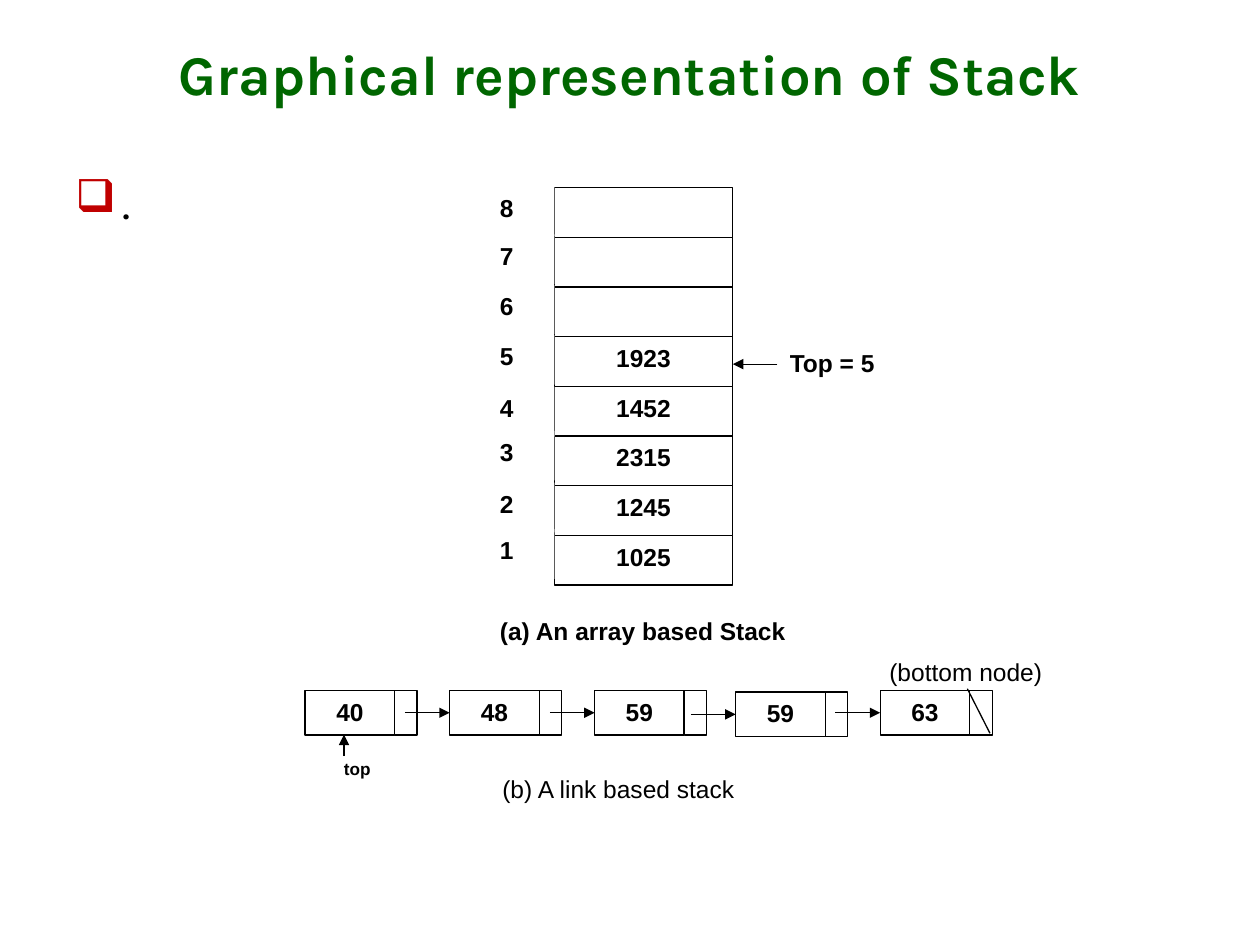
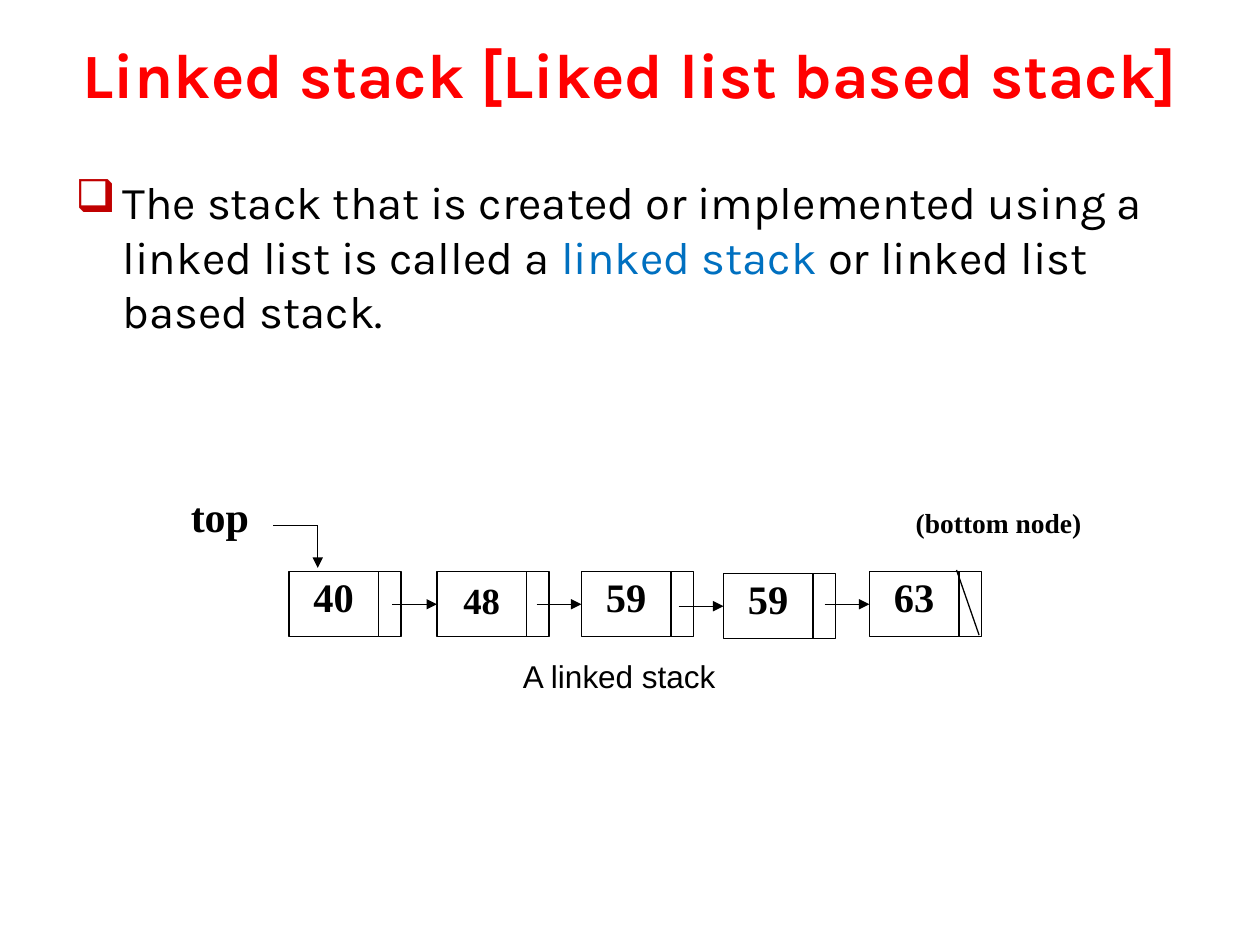
from lxml.etree import SubElement
from pptx import Presentation
from pptx.dml.color import RGBColor
from pptx.enum.shapes import MSO_CONNECTOR, MSO_SHAPE
from pptx.enum.text import MSO_ANCHOR, PP_ALIGN
from pptx.oxml.ns import qn
from pptx.util import Pt

BLACK = "000000"
WHITE = "FFFFFF"
GREEN = "006600"
RED = "FF0000"
BLUE = "0070C0"
BULLET_RED = "C00000"
HEADING_FONT = "Karla"
LABEL_FONT = "Arial"
SERIF_FONT = "Times New Roman"

LINE_WIDTH = 0.75
VALUE_WIDTH = 51.2
LINK_WIDTH = 12.8
ARROW_LENGTH = 25.6
NODE_VALUES = ["40", "48", "59", "59", "63"]

STACK_LEFT, STACK_TOP = 316.8, 107.3
CELL_WIDTH, CELL_HEIGHT = 101.8, 28.38
STACK_VALUES = ["", "", "", "1923", "1452", "2315", "1245", "1025"]
INDEX_LEFT, INDEX_WIDTH = 278.6, 38.2
INDEX_TOPS = [106.6, 133.9, 162.7, 191.5, 221, 246.2, 275.8, 302.4]


def color(code):
    return RGBColor.from_string(code)


def write_text(box, text, size=14, font=LABEL_FONT, ink=BLACK, bold=True,
               align=PP_ALIGN.CENTER, anchor=MSO_ANCHOR.TOP, spacing=None, bullet=None):
    frame = box.text_frame
    frame.word_wrap = True
    frame.vertical_anchor = anchor
    para = frame.paragraphs[0]
    para.alignment = align
    if spacing:
        para.line_spacing = spacing
    if bullet:
        add_bullet(para, bullet)
    parts = [(text, ink)] if isinstance(text, str) else text
    for words, part_ink in parts:
        span = para.add_run()
        span.text = words
        span.font.size = Pt(size)
        span.font.name = font
        span.font.bold = bold
        span.font.color.rgb = color(part_ink)


def add_bullet(para, symbol):
    properties = para._p.get_or_add_pPr()
    properties.set("marL", str(Pt(27)))
    properties.set("indent", str(-Pt(27)))
    tint = SubElement(properties, qn("a:buClr"))
    SubElement(tint, qn("a:srgbClr")).set("val", BULLET_RED)
    SubElement(properties, qn("a:buChar")).set("char", symbol)


def add_box(page, left, top, width, height, text="", outlined=False, **style):
    box = page.shapes.add_shape(MSO_SHAPE.RECTANGLE, Pt(left), Pt(top), Pt(width), Pt(height))
    box.shadow.inherit = False
    box.fill.solid()
    box.fill.fore_color.rgb = color(WHITE)
    if outlined:
        box.line.color.rgb = color(BLACK)
        box.line.width = Pt(LINE_WIDTH)
    else:
        box.line.fill.background()
    if text:
        write_text(box, text, **style)


def add_label(page, left, top, width, height, text, **style):
    box = page.shapes.add_textbox(Pt(left), Pt(top), Pt(width), Pt(height))
    write_text(box, text, **style)


def add_line(page, start, end, arrow=False):
    line = page.shapes.add_connector(MSO_CONNECTOR.STRAIGHT, *map(Pt, start + end))
    line.line.color.rgb = color(BLACK)
    line.line.width = Pt(LINE_WIDTH)
    if arrow:
        SubElement(line.line._get_or_add_ln(), qn("a:tailEnd")).set("type", "triangle")
    SubElement(line._element.spPr, qn("a:effectLst"))


def add_page(deck, title, title_ink, title_size, body):
    page = deck.slides.add_slide(deck.slide_layouts[6])
    add_label(page, 36, 6, 648, 72, title, size=title_size, font=HEADING_FONT,
              ink=title_ink, anchor=MSO_ANCHOR.MIDDLE)
    add_label(page, 36, 96, 648, 396, body, size=26, font=HEADING_FONT, bold=False,
              align=PP_ALIGN.LEFT, bullet="❑")
    return page


def add_array_stack(page):
    for row, value in enumerate(STACK_VALUES):
        add_box(page, STACK_LEFT, STACK_TOP + row * CELL_HEIGHT, CELL_WIDTH, CELL_HEIGHT,
                value, outlined=True)
    for row, top in enumerate(INDEX_TOPS):
        add_box(page, INDEX_LEFT, top, INDEX_WIDTH, CELL_HEIGHT,
                str(len(INDEX_TOPS) - row), align=PP_ALIGN.LEFT)
    add_box(page, 434.9, 195.1, 81.4, 28.8, "Top = 5")
    add_line(page, (444.2, 208.1), (418.8, 208.1), arrow=True)
    add_box(page, INDEX_LEFT, 348.5, 203.8, 28.8, "(a) An array based Stack",
            align=PP_ALIGN.LEFT)


def add_linked_nodes(page, lefts, tops, height, styles):
    for left, top, value, style in zip(lefts, tops, NODE_VALUES, styles):
        add_box(page, left, top, VALUE_WIDTH, height, value, outlined=True, **style)
        add_box(page, left + VALUE_WIDTH, top, LINK_WIDTH, height, outlined=True)
    for left, top in list(zip(lefts, tops))[1:]:
        middle = top + height / 2
        add_line(page, (left - ARROW_LENGTH, middle), (left, middle), arrow=True)
    link_left = lefts[-1] + VALUE_WIDTH
    add_line(page, (link_left - 1.4, tops[-1] - 1),
             (link_left + 11.5, tops[-1] + height - 1))


def build_representation_page(deck):
    page = add_page(deck, "Graphical representation of Stack", GREEN, 32, ".")
    add_array_stack(page)
    add_box(page, 178.6, 432, 51.2, 20.2, "top", size=9.8, spacing=0.8)
    add_linked_nodes(page, [174.4, 257, 339.8, 420.4, 503],
                     [394.6, 394.6, 394.6, 395.5, 394.6], 25.4, [{}] * 5)
    add_line(page, (196.6, 432), (196.6, 419.8), arrow=True)
    add_box(page, 280, 438.5, 203.8, 28.8, "(b) A link based stack",
            bold=False, align=PP_ALIGN.LEFT)
    add_label(page, 501.1, 372.2, 140.4, 28, "(bottom node)",
              bold=False, align=PP_ALIGN.LEFT)


def build_linked_stack_page(deck):
    body = [("The stack that is created or implemented using a linked list is called a ", BLACK),
            ("linked stack ", BLUE),
            ("or linked list based stack.", BLACK)]
    page = add_page(deck, "Linked stack [Liked list based stack]", RED, 36, body)
    add_box(page, 95.8, 276.5, 59.8, 41.8, "top", size=24, font=SERIF_FONT)
    large = {"size": 23.1, "font": SERIF_FONT, "spacing": 0.9}
    small = {"size": 21, "font": SERIF_FONT}
    add_linked_nodes(page, [165.1, 249.7, 332.2, 413.4, 496.8],
                     [326.7, 326.7, 326.7, 327.8, 326.7], 37.2,
                     [large, small, large, large, large])
    add_line(page, (156.2, 300.5), (181.6, 300.5))
    add_line(page, (181.6, 300.5), (181.6, 324.5), arrow=True)
    add_box(page, 516.2, 288, 131.8, 30.2, "(bottom node)", size=15.7, font=SERIF_FONT,
            align=PP_ALIGN.LEFT, spacing=0.9)
    add_label(page, 108, 372.2, 491.8, 28.8, "A linked stack", size=18, bold=False)


def main():
    deck = Presentation()
    deck.slide_width, deck.slide_height = Pt(720), Pt(540)
    build_representation_page(deck)
    build_linked_stack_page(deck)
    deck.save("out.pptx")


if __name__ == "__main__":
    main()
